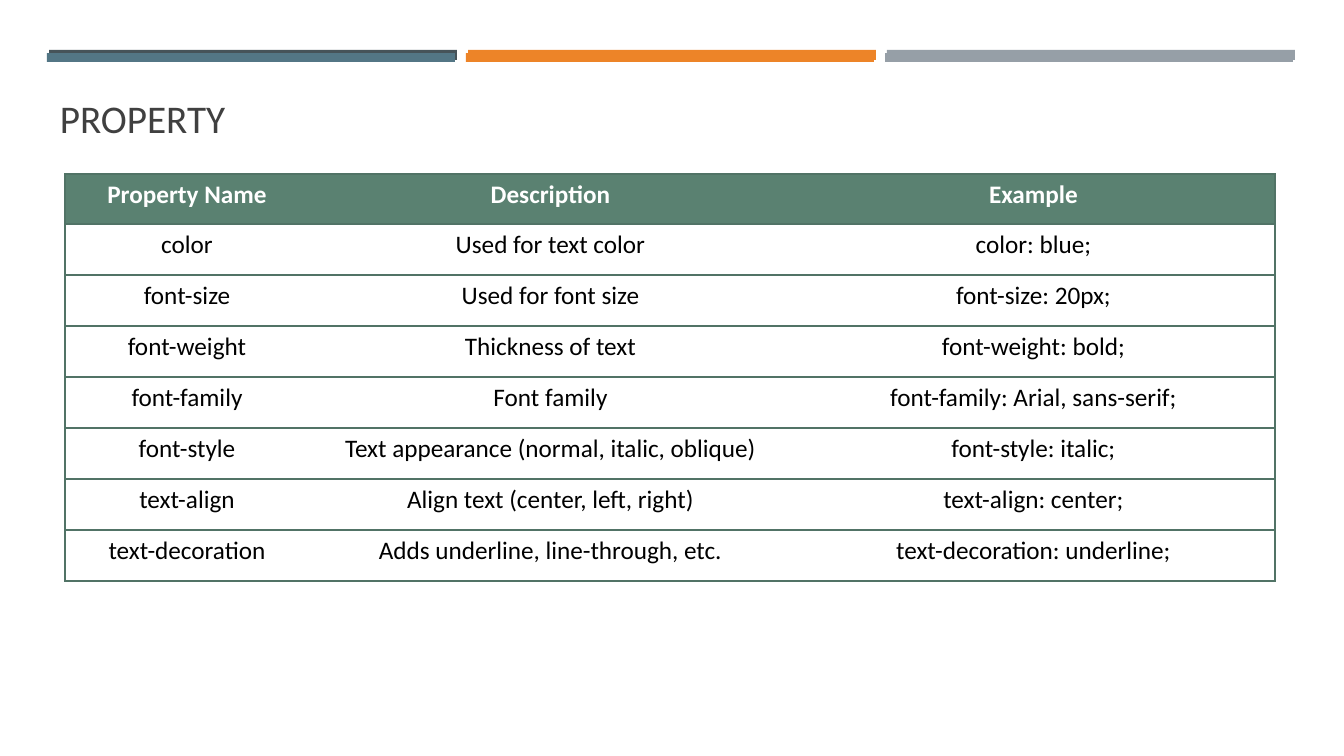
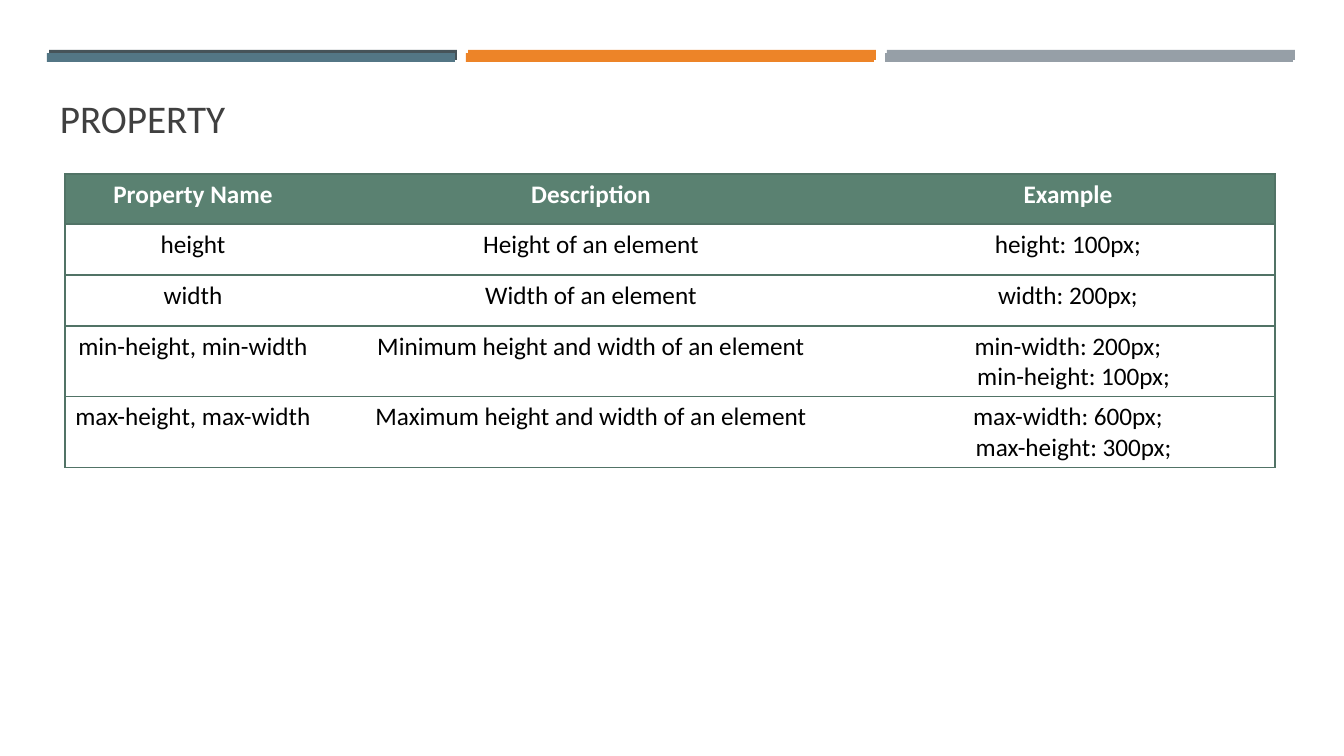
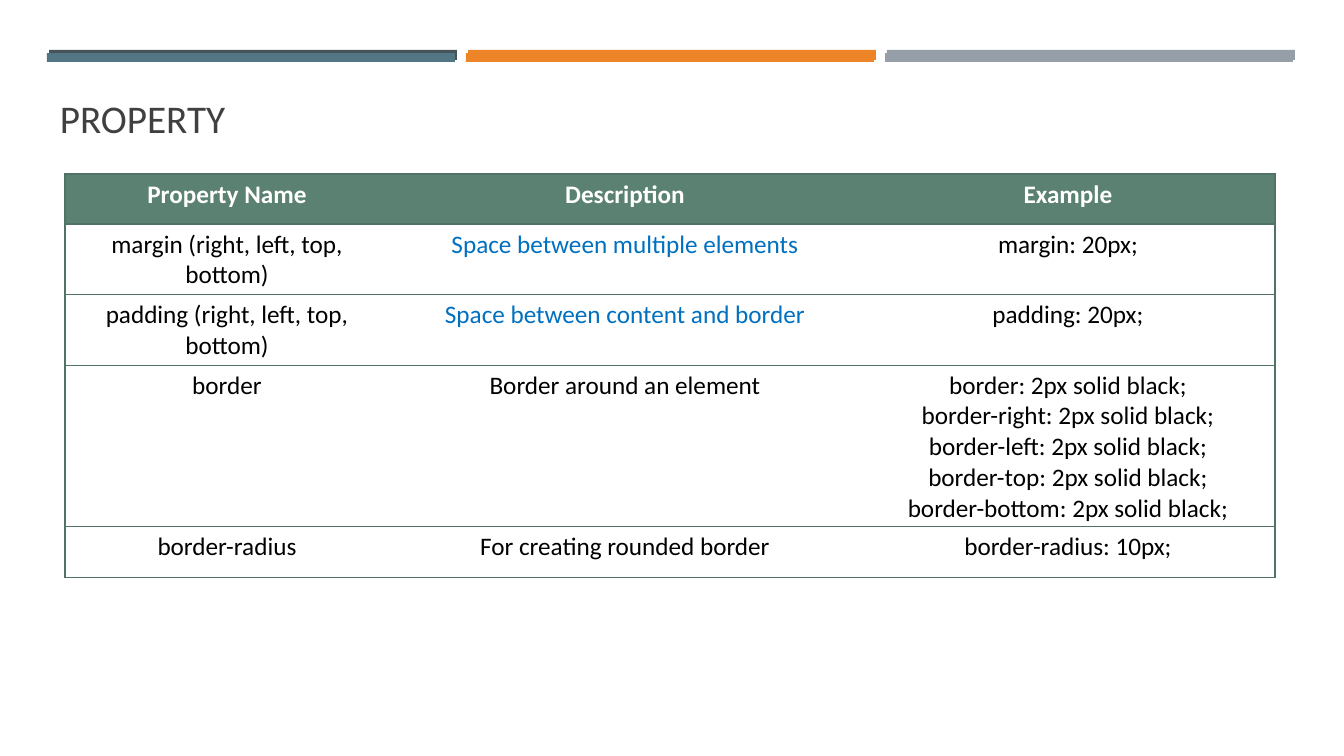
"""Build three slides of CSS property tables under a shared band and title."""
from lxml import etree
from pptx import Presentation, util as u
from pptx.dml.color import RGBColor
from pptx.enum import shapes, text
from pptx.oxml.ns import qn

TITLE = "PROPERTY"
HEADER = ("Property Name", "Description", "Example")
TABLES = [
    {"cols": (244, 483, 483), "rows": [
        ("color", "Used for text color", "color: blue;"),
        ("font-size", "Used for font size", "font-size: 20px;"),
        ("font-weight", "Thickness of text", "font-weight: bold;"),
        ("font-family", "Font family", "font-family: Arial, sans-serif;"),
        ("font-style", "Text appearance (normal, italic, oblique)", "font-style: italic;"),
        ("text-align", "Align text (center, left, right)", "text-align: center;"),
        ("text-decoration", "Adds underline, line-through, etc.", "text-decoration: underline;"),
    ]},
    {"cols": (256, 540, 414), "rows": [
        ("height", "Height of an element", "height: 100px;"),
        ("width", "Width of an element", "width: 200px;"),
        ("min-height, min-width", "Minimum height and width of an element",
         "min-width: 200px;\n  min-height: 100px;"),
        ("max-height, max-width", "Maximum height and width of an element",
         "max-width: 600px;\n  max-height: 300px;"),
    ]},
    {"cols": (324, 472, 414), "rows": [
        ("margin (right, left, top, bottom)", "Space between multiple elements", "margin: 20px;"),
        ("padding (right, left, top, bottom)", "Space between content and border", "padding: 20px;"),
        ("border", "Border around an element",
         "border: 2px solid black;\nborder-right: 2px solid black;\n"
         "border-left: 2px solid black;\nborder-top: 2px solid black;\n"
         "border-bottom: 2px solid black;"),
        ("border-radius", "For creating rounded border", "border-radius: 10px;"),
    ]},
]
HIGHLIGHTS = {"Space between multiple elements", "Space between content and border"}

FONT = "Calibri"
WHITE = RGBColor(0xFF, 0xFF, 0xFF)
BLACK = RGBColor(0x00, 0x00, 0x00)
BLUE = RGBColor(0x00, 0x70, 0xC0)
GREY = RGBColor(0x40, 0x40, 0x40)
GREEN = RGBColor(0x5A, 0x81, 0x71)
RULE = RGBColor(0x51, 0x73, 0x66)
SLATE = RGBColor(0x46, 0x53, 0x59)
TEAL = RGBColor(0x53, 0x76, 0x85)
ORANGE = RGBColor(0xED, 0x84, 0x28)
SILVER = RGBColor(0x96, 0x9F, 0xA7)

BAND_LAYERS = [
    (49, 50, 10, (SLATE, ORANGE, SILVER)),
    (47, 53, 9, (TEAL, ORANGE, SILVER)),
]
BAND_W, BAND_PITCH = 408, 419
TABLE_X, TABLE_Y = 65, 174
HEADER_H, ROW_H = 50, 51


def px(n):
    return u.Emu(round(n * 914400 / 100.8))


def style(p, size, color, bold=False):
    p.font.name, p.font.size, p.font.bold = FONT, u.Pt(size), bold
    p.font.color.rgb = color


def add_bands(s):
    for left, top, height, colors in BAND_LAYERS:
        for i, color in enumerate(colors):
            sp = s.shapes.add_shape(shapes.MSO_SHAPE.RECTANGLE, px(left + i * BAND_PITCH),
                                    px(top), px(BAND_W), px(height))
            sp.shadow.inherit = False
            sp.fill.solid()
            sp.fill.fore_color.rgb = color
            sp.line.fill.background()


def add_title(s):
    tf = s.shapes.add_textbox(px(50), px(77), px(1242), px(69)).text_frame
    tf.word_wrap = True
    tf.vertical_anchor = text.MSO_ANCHOR.BOTTOM
    p = tf.paragraphs[0]
    p.text = TITLE
    style(p, 28, GREY)


def set_borders(cell, sides):
    tc_pr = cell._tc.get_or_add_tcPr()
    for side in "LRTB":
        ln = etree.SubElement(tc_pr, qn(f"a:ln{side}"), w=str(u.Pt(1)))
        if side in sides:
            fill = etree.SubElement(ln, qn("a:solidFill"))
            etree.SubElement(fill, qn("a:srgbClr"), val=str(RULE))
        else:
            etree.SubElement(ln, qn("a:noFill"))


def add_property_table(s, cols, rows):
    height = HEADER_H + ROW_H * len(rows)
    table = s.shapes.add_table(len(rows) + 1, len(cols), px(TABLE_X), px(TABLE_Y),
                               px(sum(cols)), px(height)).table
    table.first_row = table.horz_banding = False
    for column, width in zip(table.columns, cols):
        column.width = px(width)
    for i, values in enumerate([HEADER, *rows]):
        is_header = i == 0
        table.rows[i].height = px(HEADER_H if is_header else ROW_H)
        for j, value in enumerate(values):
            cell = table.cell(i, j)
            set_borders(cell, "TB" + "L" * (j == 0) + "R" * (j == len(cols) - 1))
            if is_header:
                cell.fill.solid()
                cell.fill.fore_color.rgb = GREEN
            else:
                cell.fill.background()
            color = WHITE if is_header else BLUE if value in HIGHLIGHTS else BLACK
            cell.text = value
            for p in cell.text_frame.paragraphs:
                p.alignment = text.PP_ALIGN.CENTER
                style(p, 18, color, is_header)


def main():
    prs = Presentation()
    prs.slide_width, prs.slide_height = px(1344), px(756)
    for content in TABLES:
        s = prs.slides.add_slide(prs.slide_layouts[6])
        add_bands(s)
        add_title(s)
        add_property_table(s, **content)
    prs.save("out.pptx")


if __name__ == "__main__":
    main()
